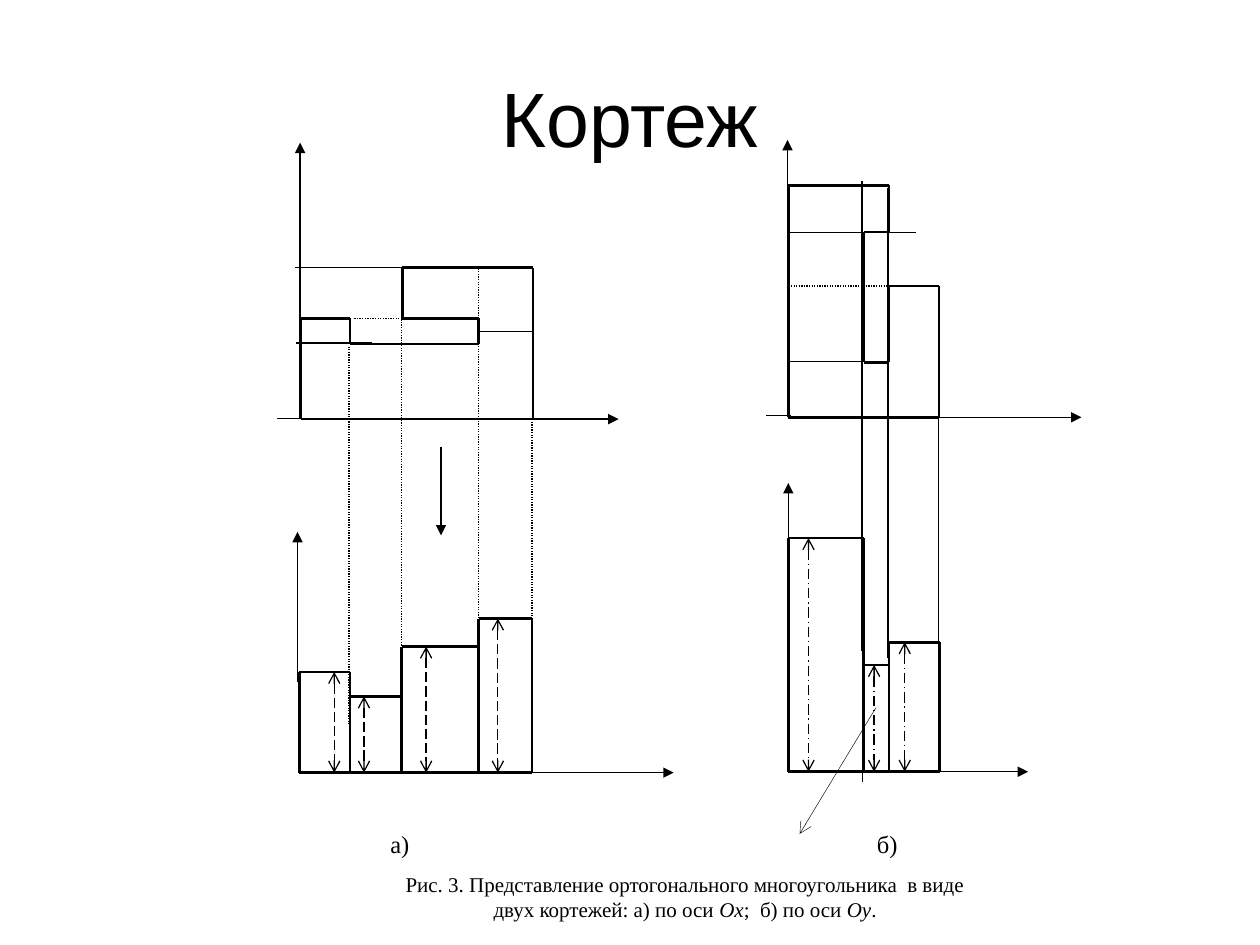
"""Builds the slide on tuples of an orthogonal polygon along two axes."""
from itertools import pairwise
from lxml import etree
from pptx import Presentation
from pptx.dml.color import RGBColor
from pptx.enum import dml, shapes, text
from pptx.oxml import ns
from pptx.util import Pt

BLACK = RGBColor(0, 0, 0)
DOTTED = dml.MSO_LINE.ROUND_DOT
THIN, THICK = 0.75, 1.5

deck = Presentation()
deck.slide_width, deck.slide_height = Pt(720), Pt(540)
slide = deck.slides.add_slide(deck.slide_layouts[6])


def add_line(x1, y1, x2, y2, width=THIN, dash=None, head=None, tail=None):
    line = slide.shapes.add_connector(
        shapes.MSO_CONNECTOR.STRAIGHT, Pt(x1), Pt(y1), Pt(x2), Pt(y2))
    line.line.color.rgb = BLACK
    line.line.width = Pt(width)
    if dash:
        line.line.dash_style = dash
    outline = line.line._get_or_add_ln()
    for end, kind in (("a:headEnd", head), ("a:tailEnd", tail)):
        if kind:
            etree.SubElement(outline, ns.qn(end), type=kind)
    etree.SubElement(line._element.spPr, ns.qn("a:effectLst"))


def add_label(left, top, width, height, lines, size, font, align):
    frame = slide.shapes.add_textbox(Pt(left), Pt(top), Pt(width), Pt(height)).text_frame
    frame.word_wrap = True
    for index, pieces in enumerate(lines):
        paragraph = frame.add_paragraph() if index else frame.paragraphs[0]
        paragraph.alignment = align
        for words, italic in pieces:
            run = paragraph.add_run()
            run.text = words
            run.font.size, run.font.name = Pt(size), font
            run.font.italic = italic
            run.font.color.rgb = BLACK
    return frame


title = add_label(36, 21.6, 648, 90, [[("Кортеж", False)]], 44, "Arial", text.PP_ALIGN.CENTER)
title.vertical_anchor = text.MSO_ANCHOR.MIDDLE

caption = [
    [("Рис. 3. Представление ортогонального многоугольника  в виде", False)],
    [("двух кортежей: а) по оси ", False), ("Ох", True),
     (";  б) по оси ", False), ("Оу", True), (".", False)],
]
add_label(193.5, 494.5, 396, 44.5, caption, 12, "Times New Roman", text.PP_ALIGN.CENTER)
for part, left in (("а)", 216), ("б)", 494)):
    add_label(left, 470, 36, 29, [[(part, False)]], 14, "Times New Roman", text.PP_ALIGN.LEFT)

dotted_guides = [
    (273.5, 153.5, 273.5, 412.5), (199.5, 198, 199.5, 414), (229.5, 178, 229.5, 408),
    (304, 241, 304, 414), (202.5, 182, 245.5, 182), (450.5, 163.5, 535.5, 163.5),
]
solid_guides = [
    (212.5, 196, 169, 196), (240.5, 153, 168.5, 153), (173, 239, 158.5, 239),
    (274.5, 189.5, 304, 189.5), (494.5, 206.5, 451.5, 206.5), (523.5, 133, 451.5, 133),
    (452, 237.5, 438, 237.5), (493, 447, 493, 306), (492.5, 103.5, 492.5, 372),
    (507.5, 107.5, 507.5, 376), (536.5, 172, 536.5, 384),
]
for guide in dotted_guides:
    add_line(*guide, dash=DOTTED)
for guide in solid_guides:
    add_line(*guide)

axes = [
    (303, 239.5, 353.5, 239.5), (171.5, 239.5, 171.5, 81.5),
    (300, 441.5, 385, 441.5), (170, 390, 170, 304),
    (532, 238.5, 618, 238.5), (450, 238.5, 450, 80),
    (450.5, 441, 587.5, 441), (450.5, 441, 450.5, 276),
]
transition = (252, 255.5, 252, 306)
for arrow in axes + [transition]:
    add_line(*arrow, tail="triangle")
add_line(500.5, 404.5, 457, 476.5, width=0.25, tail="arrow")

polygon_along_x = [
    (172, 239.5), (172, 182), (200, 182), (200, 196.5), (273.5, 196.5), (273.5, 182),
    (230, 182), (230, 153), (304.5, 153), (304.5, 239.5), (172, 239.5),
]
polygon_along_y = [
    (450.5, 238.5), (450.5, 106), (508, 106), (508, 132.5), (493.5, 132.5), (493.5, 207),
    (508, 207), (508, 163.5), (536.5, 163.5), (536.5, 238.5), (450.5, 238.5),
]
for polygon in (polygon_along_x, polygon_along_y):
    for start, end in pairwise(polygon):
        add_line(*start, *end, width=THICK)

tuples = [
    (441.5, [171, 200, 229.5, 273.5, 304], [384, 398, 369.5, 353.5],
     [191, 208, 243.5, 284.5], dml.MSO_LINE.LONG_DASH),
    (441, [450.5, 493.5, 508, 537], [307.5, 380, 367],
     [462, 499.5, 517], dml.MSO_LINE.LONG_DASH_DOT),
]
for base, edges, tops, heights, dash in tuples:
    add_line(edges[0], base, edges[-1], base, width=THICK)
    for (left, right), top, height in zip(pairwise(edges), tops, heights):
        add_line(left, top, right, top, width=THICK)
        add_line(height, top, height, base, dash=dash, head="arrow", tail="arrow")
    neighbours = pairwise([base, *tops, base])
    for edge, sides in zip(edges, neighbours):
        add_line(edge, min(sides), edge, base, width=THICK)

deck.save("out.pptx")
